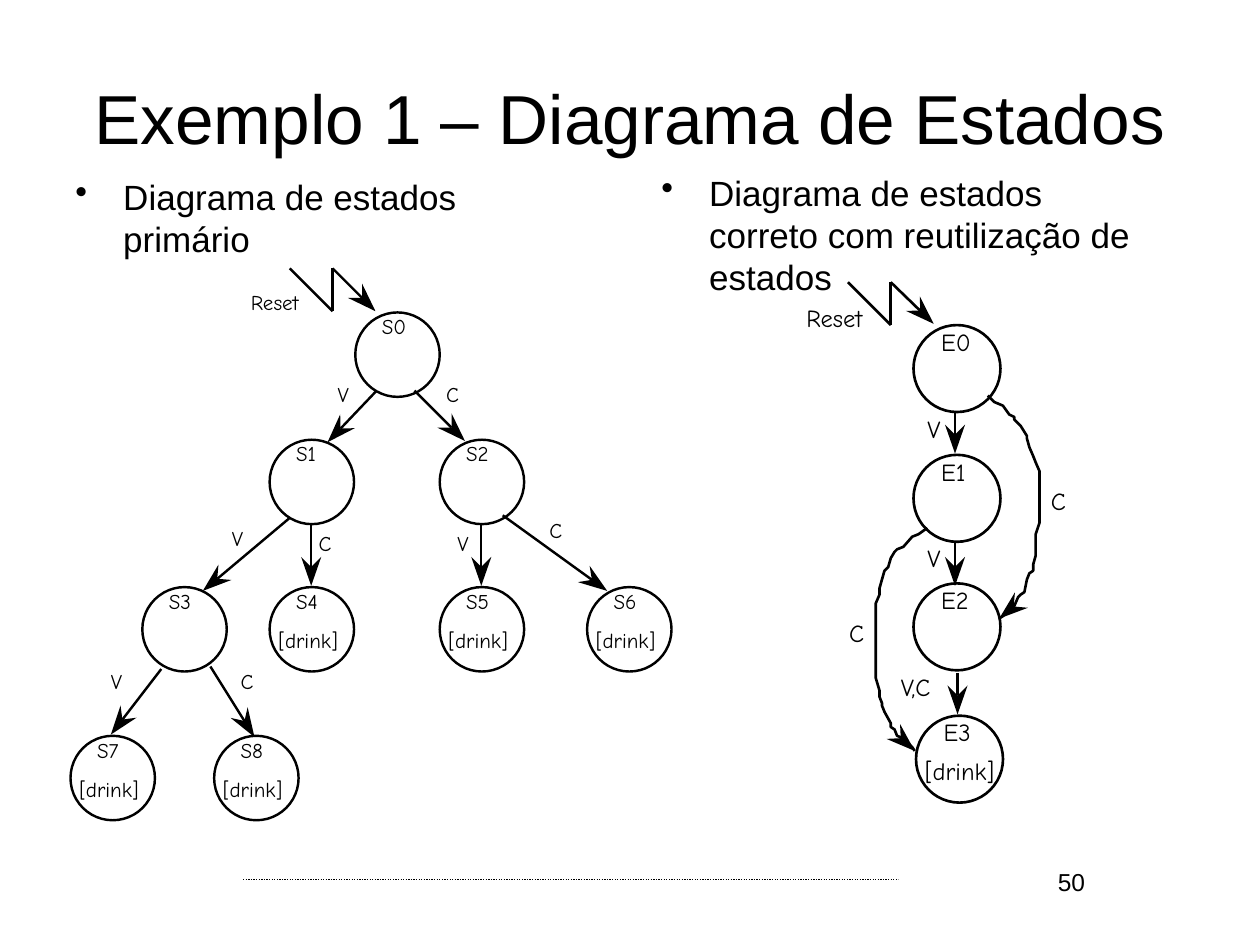
from math import hypot

from lxml import etree
from pptx import Presentation, util as u
from pptx.dml.color import RGBColor
from pptx.enum import dml, shapes, text
from pptx.oxml import ns

In = u.Inches
COLORS = {"ink": "000000", "paper": "FFFFFF"}
LABEL_FONT = "Comic Neue"
# Label widths at 12 pt
WIDTHS = {"V": 0.11, "C": 0.1, "V,C": 0.26, "Reset": 0.45, "[drink]": 0.53}

# Left tree: name, left, top, has an output
TREE_STATES = [
    ("S0", 2.82, 2.48, False), ("S1", 2.14, 3.49, False), ("S2", 3.49, 3.49, False),
    ("S3", 1.13, 4.66, False), ("S4", 2.14, 4.66, True), ("S5", 3.49, 4.66, True),
    ("S6", 4.66, 4.66, True), ("S7", 0.56, 5.84, True), ("S8", 1.7, 5.84, True),
]
TREE_ARROWS = [
    ((2.64, 2.13), (2.98, 2.47)), ((2.99, 3.1), (2.6, 3.51)),
    ((3.29, 3.1), (3.69, 3.5)), ((2.3, 4.11), (1.61, 4.69)),
    ((2.47, 4.15), (2.47, 4.65)), ((3.82, 4.15), (3.82, 4.65)),
    ((3.99, 4.09), (4.82, 4.69)), ((1.28, 5.31), (0.88, 5.83)),
    ((1.67, 5.29), (2.02, 5.85)),
]
TREE_LABELS = [
    ("Reset", 1.99, 2.3), ("V", 2.68, 3.03), ("C", 3.54, 3.03),
    ("V", 1.84, 4.17), ("C", 2.53, 4.21), ("V", 3.63, 4.21),
    ("C", 4.36, 4.11), ("V", 0.88, 5.31), ("C", 1.91, 5.31),
]

# Right chain with shared states
CHAIN_STATES = [
    ("E0", 7.25, 2.58, False), ("E1", 7.25, 3.61, False),
    ("E2", 7.25, 4.63, False), ("E3", 7.27, 5.68, True),
]
CHAIN_ARROWS = [
    ((7.07, 2.24), (7.41, 2.57)), ((7.58, 3.26), (7.58, 3.6)),
    ((7.58, 4.29), (7.58, 4.65)), ((7.6, 5.34), (7.6, 5.67)),
]
CHAIN_LABELS = [
    ("Reset", 6.4, 2.43), ("V", 7.36, 3.31), ("V", 7.36, 4.34),
    ("V,C", 7.15, 5.36), ("C", 8.34, 3.88), ("C", 6.74, 4.93),
]
E0_TO_E2 = [
    (7.84, 3.14), (7.89, 3.19), (7.96, 3.22), (8.01, 3.29), (8.05, 3.31),
    (8.05, 3.33), (8.1, 3.38), (8.15, 3.46), (8.15, 3.48), (8.17, 3.55),
    (8.2, 3.62), (8.22, 3.67), (8.25, 3.74), (8.25, 4.15), (8.22, 4.24),
    (8.22, 4.41), (8.2, 4.48), (8.2, 4.53), (8.17, 4.55), (8.15, 4.6),
    (8.13, 4.7), (8.1, 4.72), (8.08, 4.74), (8.05, 4.81), (8.03, 4.81),
    (7.96, 4.89), (7.93, 4.91),
]
E1_TO_E3 = [
    (7.36, 4.19), (7.29, 4.24), (7.24, 4.26), (7.17, 4.34), (7.12, 4.36),
    (7.1, 4.38), (7.07, 4.43), (7.05, 4.5), (7.02, 4.53), (7, 4.6),
    (6.98, 4.67), (6.98, 4.72), (6.95, 4.79), (6.95, 5.38), (6.98, 5.48),
    (6.98, 5.53), (7, 5.58), (7, 5.6), (7.02, 5.65), (7.07, 5.74),
    (7.07, 5.77), (7.1, 5.79), (7.12, 5.84), (7.17, 5.86), (7.24, 5.93),
    (7.26, 5.96),
]


def rgb(name):
    return RGBColor.from_string(COLORS[name])


def add_text(s, content, left, top, width, height, size=20, font="Arial",
             align=text.PP_ALIGN.LEFT, anchor=text.MSO_ANCHOR.TOP,
             wrap=True, inset=None, spacing=None, bullet=False):
    tf = s.shapes.add_textbox(In(left), In(top), In(width), In(height)).text_frame
    tf.word_wrap, tf.vertical_anchor = wrap, anchor
    if inset is not None:
        tf.margin_left = tf.margin_right = tf.margin_top = tf.margin_bottom = In(inset)
    p = tf.paragraphs[0]
    p.alignment = align
    if spacing:
        p.line_spacing = spacing
    if bullet:
        p.space_before = u.Pt(size * 0.2)
        pPr = p._p.get_or_add_pPr()
        pPr.set("marL", str(In(0.38)))
        pPr.set("indent", str(-In(0.38)))
        etree.SubElement(pPr, ns.qn("a:buChar")).set("char", "•")
    r = p.add_run()
    r.text = content
    r.font.size, r.font.name = u.Pt(size), font
    r.font.color.rgb = rgb("ink")


def add_label(s, content, left, top, size):
    width = WIDTHS.get(content, 0.22) * size / 12
    add_text(s, content, left, top, width, 0.2, size=size, font=LABEL_FONT,
             wrap=False, inset=0, spacing=0.9 if size == 14 else None)


def add_line(s, start, end, weight, dash=None):
    sp = s.shapes.add_connector(shapes.MSO_CONNECTOR.STRAIGHT,
                                *(In(v) for v in (*start, *end)))
    sp.line.color.rgb, sp.line.width = rgb("ink"), u.Pt(weight)
    if dash:
        sp.line.dash_style = dash
    etree.SubElement(sp._element.spPr, ns.qn("a:effectLst"))


def add_outline(s, points, weight=None):
    """Draw an open curve of the given weight, or a filled shape without one."""
    pts = [(In(x), In(y)) for x, y in points]
    builder = s.shapes.build_freeform(*pts[0])
    builder.add_line_segments(pts[1:], close=weight is None)
    sp = builder.convert_to_shape()
    sp.shadow.inherit = False
    if weight is None:
        sp.fill.solid()
        sp.fill.fore_color.rgb = rgb("ink")
        sp.line.fill.background()
    else:
        sp.fill.background()
        sp.line.color.rgb, sp.line.width = rgb("ink"), u.Pt(weight)


def add_head(s, start, tip):
    """Draw a notched arrowhead and return its notch."""
    dx, dy = tip[0] - start[0], tip[1] - start[1]
    length = hypot(dx, dy)
    dx, dy = dx / length, dy / length

    def at(back, side):
        return tip[0] - back * dx - side * dy, tip[1] - back * dy + side * dx

    notch = at(0.15, 0)
    add_outline(s, [tip, at(0.23, 0.08), notch, at(0.23, -0.08)])
    return notch


def add_state(s, name, left, top, has_output, diameter, size, weight, offset):
    sp = s.shapes.add_shape(shapes.MSO_SHAPE.OVAL, In(left), In(top),
                            In(diameter), In(diameter))
    sp.shadow.inherit = False
    sp.fill.solid()
    sp.fill.fore_color.rgb = rgb("paper")
    sp.line.color.rgb, sp.line.width = rgb("ink"), u.Pt(weight)
    add_label(s, name, left + offset[0], top + offset[1], size)
    if has_output:
        add_label(s, "[drink]", left + 0.07, top + offset[1] + 0.31, size)


def add_diagram(s, states, arrows, labels, diameter, size, weight, offset):
    for state in states:
        add_state(s, *state, diameter, size, weight, offset)
    # Reset zigzag leads into the first arrow
    x, y = arrows[0][0]
    add_line(s, (x - 0.34, y), (x, y + 0.34), weight)
    add_line(s, (x, y + 0.34), (x, y), weight)
    for start, tip in arrows:
        add_line(s, start, add_head(s, start, tip), weight)
    for label in labels:
        add_label(s, *label, size)


def main():
    prs = Presentation()
    prs.slide_width, prs.slide_height = In(10), In(7.5)
    s = prs.slides.add_slide(prs.slide_layouts[6])

    # Footer rule, title and captions
    add_line(s, (1.93, 6.98), (7.13, 6.98), 0.75, dml.MSO_LINE.ROUND_DOT)
    add_text(s, "Exemplo 1 – Diagrama de Estados", 0.5, 0.3, 9, 1.25, size=39.6,
             align=text.PP_ALIGN.CENTER, anchor=text.MSO_ANCHOR.MIDDLE)
    add_text(s, "Diagrama de estados primário", 0.5, 1.34, 4.03, 4.95, bullet=True)
    add_text(s, "Diagrama de estados correto com reutilização de estados",
             5.15, 1.31, 4.03, 4.95, bullet=True)

    # State diagrams
    add_diagram(s, TREE_STATES, TREE_ARROWS, TREE_LABELS,
                diameter=0.67, size=12, weight=1.38, offset=(0.21, 0.01))
    add_diagram(s, CHAIN_STATES, CHAIN_ARROWS, CHAIN_LABELS,
                diameter=0.69, size=14, weight=1.5, offset=(0.22, 0.04))

    # Transitions that skip a state
    for curve, notch in ((E0_TO_E2, (8.05, 4.81)), (E1_TO_E3, (7.15, 5.86))):
        add_outline(s, curve, weight=1.5)
        add_head(s, notch, curve[-1])

    # Slide number
    add_text(s, "50", 7.52, 6.83, 1.19, 0.52, size=14, align=text.PP_ALIGN.RIGHT)
    prs.save("out.pptx")


if __name__ == "__main__":
    main()
